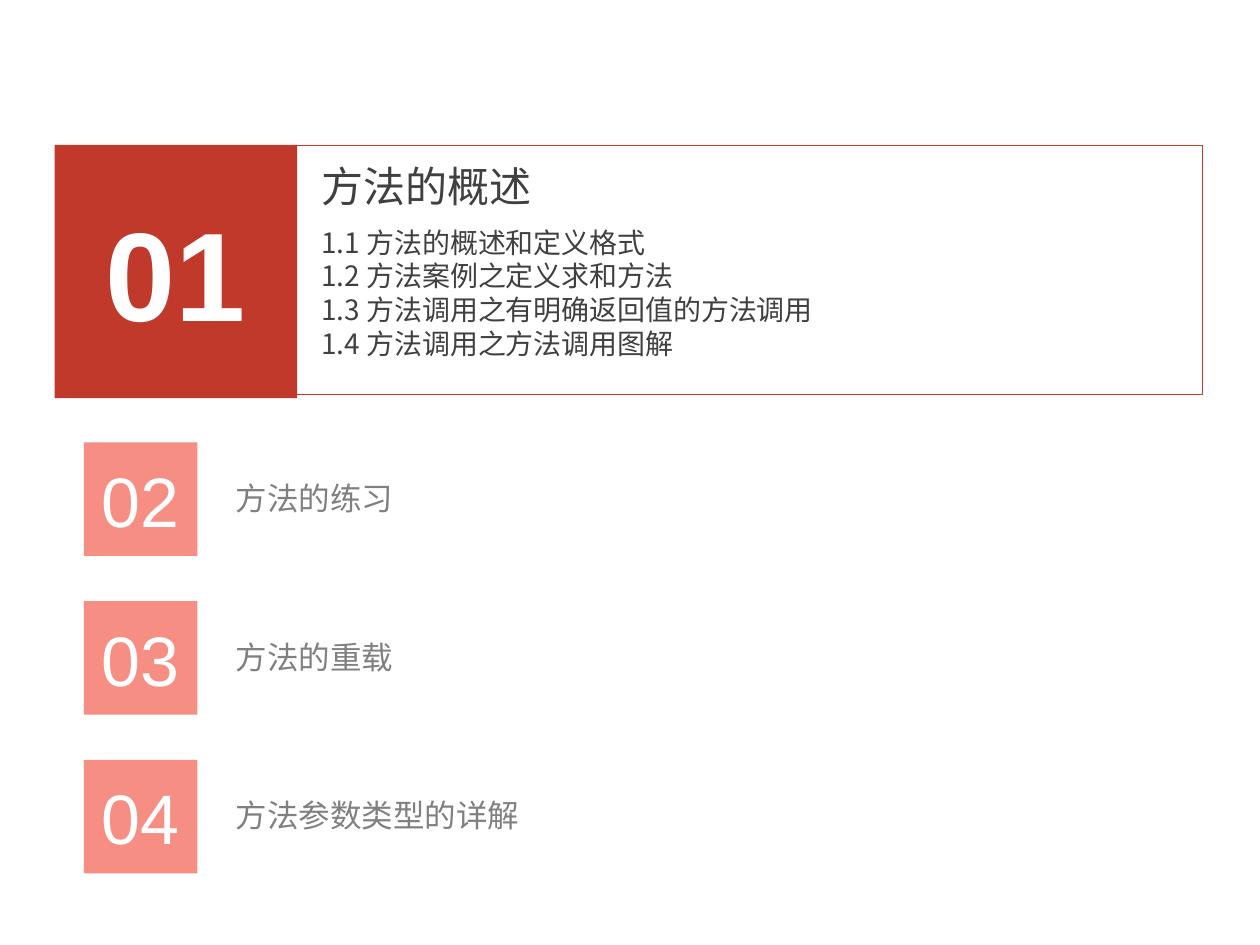
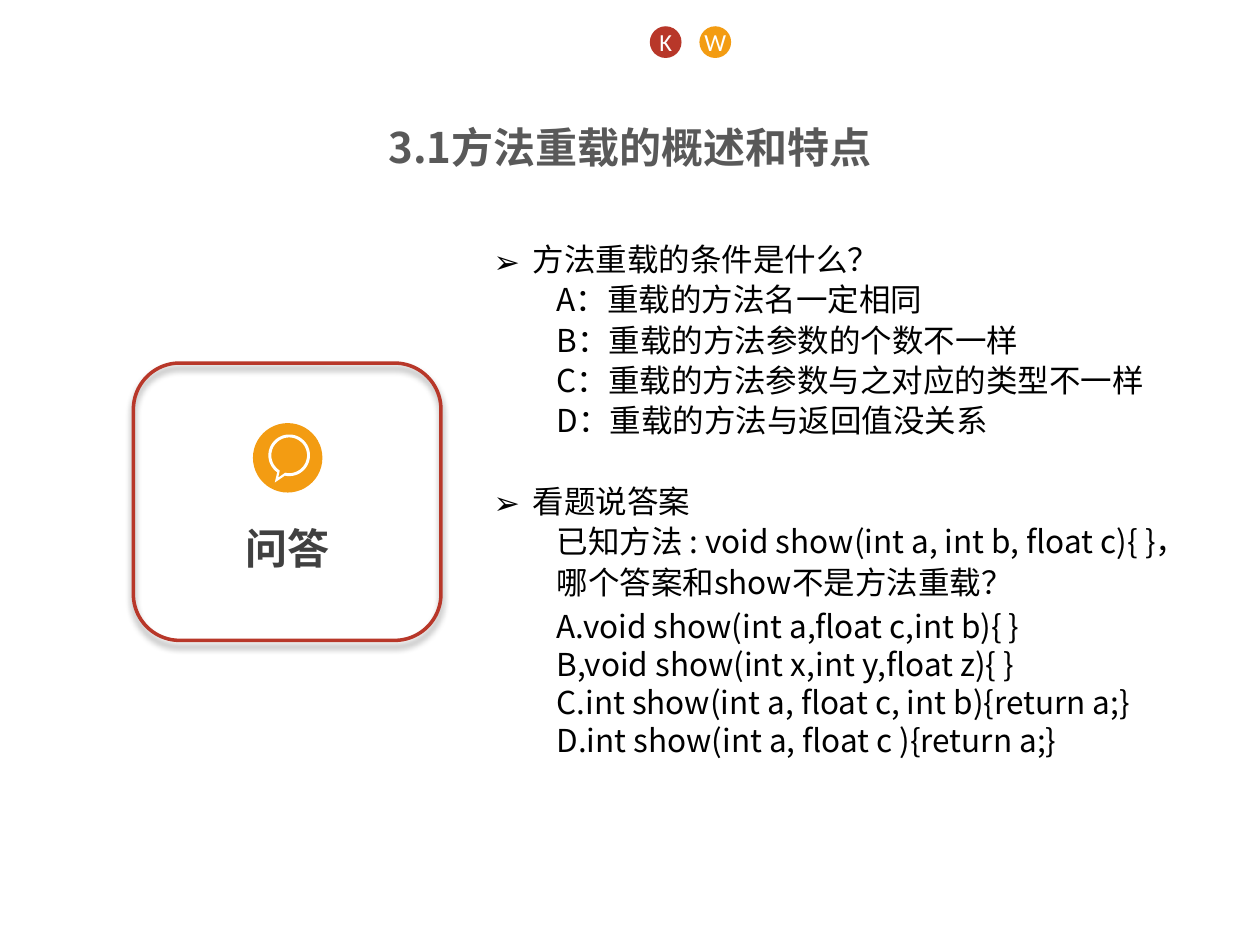
import math
from lxml import etree
from pptx import Presentation
from pptx.dml.color import RGBColor
from pptx.enum import shapes, text
from pptx.oxml import ns, parse_xml
from pptx.util import Cm, Pt

# Content
CHAPTERS = ["方法的概述", "方法的练习", "方法的重载", "方法参数类型的详解"]
SECTIONS = [
    "1.1 方法的概述和定义格式",
    "1.2 方法案例之定义求和方法",
    "1.3 方法调用之有明确返回值的方法调用",
    "1.4 方法调用之方法调用图解",
]
QUIZ_TITLE = "3.1方法重载的概述和特点"
QUIZ_LABEL = "问答"
QUESTIONS = [
    ("方法重载的条件是什么？",
     ["A：重载的方法名一定相同",
      "B：重载的方法参数的个数不一样",
      "C：重载的方法参数与之对应的类型不一样",
      "D：重载的方法与返回值没关系"],
     []),
    ("看题说答案",
     ["已知方法 : void show(int a, int b, float c){ }，",
      "哪个答案和show不是方法重载？"],
     ["A.void show(int a,float c,int b){ }",
      "B,void show(int x,int y,float z){ }",
      "C.int show(int a, float c, int b){return a;}",
      "D.int show(int a, float c ){return a;}"]),
]

# Shared style
RED = RGBColor(0xC0, 0x39, 0x2B)
DARK_RED = RGBColor(0xB8, 0x37, 0x29)
CORAL = RGBColor(0xF4, 0x72, 0x64)
ORANGE = RGBColor(0xF3, 0x9C, 0x12)
WHITE = RGBColor(0xFF, 0xFF, 0xFF)
BLACK = RGBColor(0, 0, 0)
INK = RGBColor(0x40, 0x40, 0x40)
TITLE_GREY = RGBColor(0x59, 0x59, 0x59)
LABEL_GREY = RGBColor(0x80, 0x80, 0x80)
CHINESE = "Noto Sans CJK SC"
BADGES = [("K", DARK_RED), ("W", ORANGE)]
CENTER = text.PP_ALIGN.CENTER
KIND = shapes.MSO_SHAPE


def write(paragraph, words, size, color, font=CHINESE, bold=False, align=None):
    span = paragraph.add_run()
    span.text = words
    span.font.size, span.font.bold, span.font.name = Pt(size), bold, font
    span.font.color.rgb = color
    if font == CHINESE:
        east_asian = etree.SubElement(span.font._element, ns.qn("a:ea"))
        east_asian.set("typeface", font)
    if align is not None:
        paragraph.alignment = align


def add_text(page, area, lines, size, color, wrap=True, **style):
    box = page.shapes.add_textbox(*map(Cm, area))
    frame = box.text_frame
    frame.word_wrap = wrap
    for number, line in enumerate(lines):
        paragraph = frame.add_paragraph() if number else frame.paragraphs[0]
        write(paragraph, line, size, color, **style)
    return box


def paint(shape, fill=None, line=None, width=0):
    shape.shadow.inherit = False
    if fill is None:
        shape.fill.background()
    else:
        shape.fill.solid()
        shape.fill.fore_color.rgb = fill
    if line is None:
        shape.line.fill.background()
    else:
        shape.line.color.rgb = line
        shape.line.width = Pt(width)


def add_shape(page, kind, area, words="", size=14, font="Arial", bold=False, **look):
    shape = page.shapes.add_shape(kind, *map(Cm, area))
    paint(shape, **look)
    if words:
        frame = shape.text_frame
        frame.margin_left = frame.margin_right = 0
        frame.margin_top = frame.margin_bottom = 0
        frame.word_wrap = False
        frame.vertical_anchor = text.MSO_ANCHOR.MIDDLE
        write(frame.paragraphs[0], words, size, WHITE, font, bold, CENTER)
    return shape


def set_alpha(shape, percent):
    color = shape._element.spPr.find(ns.qn("a:solidFill"))[0]
    etree.SubElement(color, ns.qn("a:alpha")).set("val", str(percent * 1000))


def add_drop_shadow(shape):
    effects = shape._element.spPr.find(ns.qn("a:effectLst"))
    effects.append(parse_xml(
        f'<a:outerShdw {ns.nsdecls("a")} blurRad="{Pt(4)}" dist="{Pt(3)}" '
        'dir="5400000" rotWithShape="0"><a:srgbClr val="000000">'
        '<a:alpha val="40000"/></a:srgbClr></a:outerShdw>'))


def set_indent(paragraph, left, first=0, bullet=None):
    properties = paragraph._p.get_or_add_pPr()
    properties.set("marL", str(Cm(left)))
    properties.set("indent", str(Cm(first)))
    if bullet:
        etree.SubElement(properties, ns.qn("a:buFont")).set("typeface", CHINESE)
        etree.SubElement(properties, ns.qn("a:buChar")).set("char", bullet)


def bubble_outline(center, radius, start, stop, tip):
    """Circle open between two angles, with a tail running to the tip."""
    steps = 48
    angles = [math.radians(start + (stop - start) * i / steps) for i in range(steps + 1)]
    arc = [(center[0] + radius * math.cos(a), center[1] + radius * math.sin(a))
           for a in angles]
    return [(Cm(x), Cm(y)) for x, y in arc + [tip]]


def add_bubble(page):
    center = (5.83, 9.18)
    outer = bubble_outline(center, 0.42, 125, 462, (5.54, 9.73))
    inner = bubble_outline(center, 0.36, 122, 463, (5.61, 9.63))
    builder = page.shapes.build_freeform(*outer[0], scale=1.0)
    builder.add_line_segments(outer[1:], close=True)
    builder.move_to(*inner[0])
    builder.add_line_segments(inner[1:], close=True)
    paint(builder.convert_to_shape(), fill=WHITE)


def build_contents(page):
    # Current chapter
    current, *others = CHAPTERS
    add_shape(page, KIND.RECTANGLE, (1.1, 2.92, 4.89, 5.11), "01", 72, bold=True, fill=RED)
    add_text(page, (6.23, 3.11, 4.78, 1.3), [current], 24, INK, wrap=False)
    add_text(page, (6.23, 4.42, 18, 3.3), SECTIONS, 16, INK)
    add_shape(page, KIND.RECTANGLE, (5.98, 2.93, 18.27, 5.03), line=RED, width=0.5)

    # Other chapters
    for row, chapter in enumerate(others):
        top = 8.92 + row * 3.2
        square = add_shape(page, KIND.RECTANGLE, (1.69, top, 2.29, 2.29),
                           f"{row + 2:02}", 40, fill=CORAL)
        set_alpha(square, 80)
        add_text(page, (4.5, top + 0.61, 7.5, 1.2), [chapter], 18, LABEL_GREY)


def add_questions(page):
    box = page.shapes.add_textbox(Cm(9.7), Cm(4.8), Cm(15.5), Cm(11))
    frame = box.text_frame
    frame.word_wrap = True
    for number, (question, details, options) in enumerate(QUESTIONS):
        heading = frame.add_paragraph() if number else frame.paragraphs[0]
        set_indent(heading, 0.79, -0.79, "➢")
        if number:
            heading.space_before = Pt(23)
        entries = [(heading, question)]
        for line in details + options:
            paragraph = frame.add_paragraph()
            paragraph.level = 1
            set_indent(paragraph, 1.27)
            entries.append((paragraph, line))
        for paragraph, line in entries:
            if line not in options:
                paragraph.line_spacing = 0.9
                paragraph.space_after = Pt(3.6)
            write(paragraph, line, 18, BLACK)


def build_quiz(page):
    add_questions(page)

    # Question card
    card = add_shape(page, KIND.ROUNDED_RECTANGLE, (2.69, 7.32, 6.2, 5.59),
                     line=DARK_RED, width=2)
    add_drop_shadow(card)
    label = add_text(page, (4.7, 10.52, 2.21, 1.14), [QUIZ_LABEL], 24, INK,
                     wrap=False, bold=True)
    label.text_frame.paragraphs[0].line_spacing = 0.9
    add_shape(page, KIND.OVAL, (5.1, 8.53, 1.4, 1.4), fill=ORANGE)
    add_bubble(page)

    # Header badges and title
    for column, (letter, color) in enumerate(BADGES):
        add_shape(page, KIND.OVAL, (13.1 + column, 0.53, 0.64, 0.64),
                  letter, 14, "Calibri", fill=color)
    add_text(page, (0, 2.32, 25.4, 1.19), [QUIZ_TITLE], 24, TITLE_GREY,
             bold=True, align=CENTER)


def main():
    deck = Presentation()
    deck.slide_width, deck.slide_height = Cm(25.4), Cm(19.05)
    for build in (build_contents, build_quiz):
        build(deck.slides.add_slide(deck.slide_layouts[6]))
    deck.save("out.pptx")


if __name__ == "__main__":
    main()
